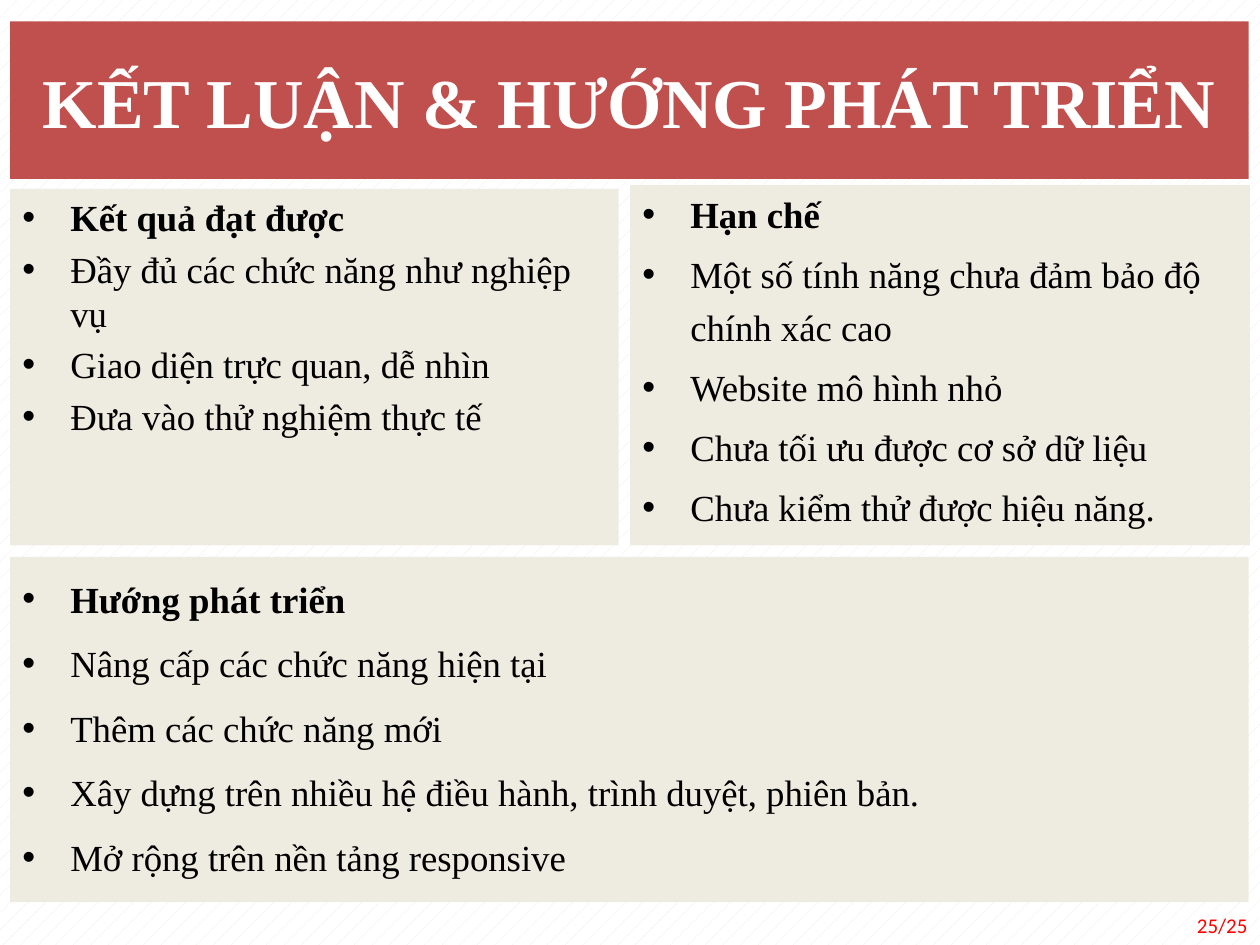
from lxml import etree
from pptx import Presentation
from pptx.dml.color import RGBColor
from pptx.enum.dml import MSO_PATTERN
from pptx.enum.shapes import MSO_SHAPE
from pptx.enum.text import MSO_ANCHOR, PP_ALIGN
from pptx.oxml.ns import qn
from pptx.util import Inches, Pt

RECT = MSO_SHAPE.RECTANGLE
DOTS = MSO_PATTERN.PERCENT_5
TOP, MIDDLE = MSO_ANCHOR.TOP, MSO_ANCHOR.MIDDLE
LEFT, CENTER, RIGHT = PP_ALIGN.LEFT, PP_ALIGN.CENTER, PP_ALIGN.RIGHT
COLORS = {"panel": "EEECE1", "title": "C0504D", "white": "FFFFFF",
          "text": "000000", "page": "FF0000"}
SERIF, SANS = "Times New Roman", "Calibri"
INDENT = Inches(0.38)


def rgb(name):
    """Return the named palette colour."""
    return RGBColor.from_string(COLORS[name])


def write(p, text, size=21, font=SERIF, color="text", bold=False, align=LEFT):
    """Write text into a paragraph with the given format."""
    p.alignment = align
    r = p.add_run()
    r.text = text
    r.font.size = Pt(size)
    r.font.name = font
    r.font.bold = bold
    r.font.color.rgb = rgb(color)


def add_bullet(p):
    """Give a paragraph a round bullet with a hanging indent."""
    pPr = p._p.get_or_add_pPr()
    pPr.set("marL", str(INDENT))
    pPr.set("indent", str(-INDENT))
    etree.SubElement(pPr, qn("a:buFont")).set("typeface", "Arial")
    etree.SubElement(pPr, qn("a:buChar")).set("char", "•")


def add_block(slide, box, color, anchor):
    """Add a plain filled rectangle and return its text frame."""
    sp = slide.shapes.add_shape(RECT, *map(Inches, box))
    sp.shadow.inherit = False
    sp.fill.solid()
    sp.fill.fore_color.rgb = rgb(color)
    sp.line.fill.background()
    tf = sp.text_frame
    tf.word_wrap = True
    tf.vertical_anchor = anchor
    return tf


def add_title(slide, box, text):
    """Add the title band."""
    tf = add_block(slide, box, "title", MIDDLE)
    write(tf.paragraphs[0], text, size=40, color="white", bold=True, align=CENTER)


def add_panel(slide, box, heading, items, head_spacing=1.0, spacing=1.0):
    """Add a panel with a bold heading and bulleted items."""
    tf = add_block(slide, box, "panel", TOP)
    for i, text in enumerate([heading, *items]):
        p = tf.add_paragraph() if i else tf.paragraphs[0]
        p.line_spacing = spacing if i else head_spacing
        p.space_before = Pt(4.2)
        write(p, text, bold=i == 0)
        add_bullet(p)


def add_page_number(slide, box, text):
    """Add the page number at the lower right."""
    tf = slide.shapes.add_textbox(*map(Inches, box)).text_frame
    tf.word_wrap = True
    tf.vertical_anchor = MIDDLE
    tf.margin_right = Inches(0.1)
    write(tf.paragraphs[0], text, size=12, font=SANS, color="page", align=RIGHT)


def main():
    """Build the conclusion slide."""
    prs = Presentation()
    prs.slide_width, prs.slide_height = Inches(10), Inches(7.5)
    slide = prs.slides.add_slide(prs.slide_layouts[6])
    fill = slide.background.fill
    fill.patterned()
    fill.pattern = DOTS
    fill.fore_color.rgb = rgb("panel")
    fill.back_color.rgb = rgb("white")

    add_page_number(slide, (7.67, 7.14, 2.33, 0.4), "25/25")
    add_title(slide, (0.08, 0.17, 9.83, 1.25), "KẾT LUẬN & HƯỚNG PHÁT TRIỂN")
    add_panel(slide, (0.08, 1.5, 4.83, 2.83), "Kết quả đạt được", [
        "Đầy đủ các chức năng như nghiệp vụ",
        "Giao diện trực quan, dễ nhìn",
        "Đưa vào thử nghiệm thực tế",
    ])
    add_panel(slide, (5, 1.47, 4.92, 2.86), "Hạn chế", [
        "Một số tính năng chưa đảm bảo độ chính xác cao",
        "Website mô hình nhỏ",
        "Chưa tối ưu được cơ sở dữ liệu",
        "Chưa kiểm thử được hiệu năng.",
    ], spacing=1.2)
    add_panel(slide, (0.08, 4.42, 9.83, 2.74), "Hướng phát triển", [
        "Nâng cấp các chức năng hiện tại",
        "Thêm các chức năng mới",
        "Xây dựng trên nhiều hệ điều hành, trình duyệt, phiên bản.",
        "Mở rộng trên nền tảng responsive",
    ], head_spacing=1.3, spacing=1.3)
    prs.save("out.pptx")


if __name__ == "__main__":
    main()
